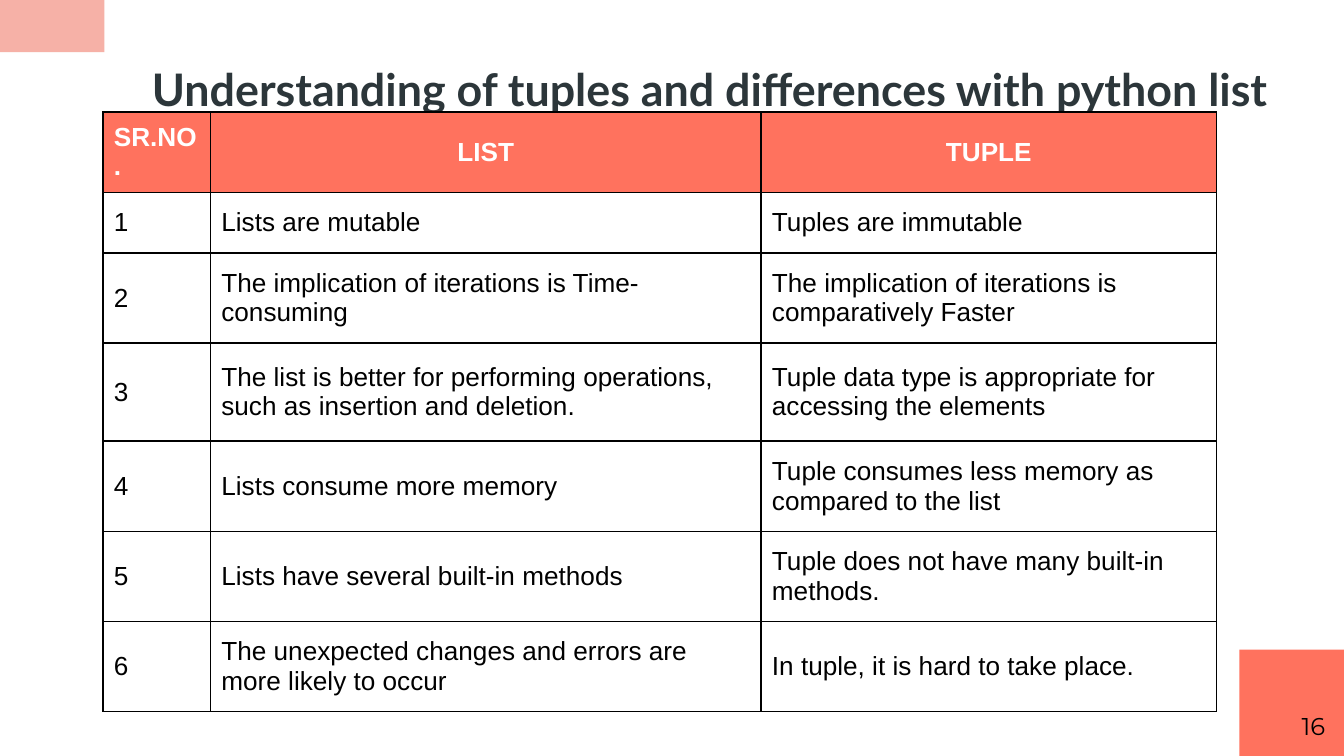
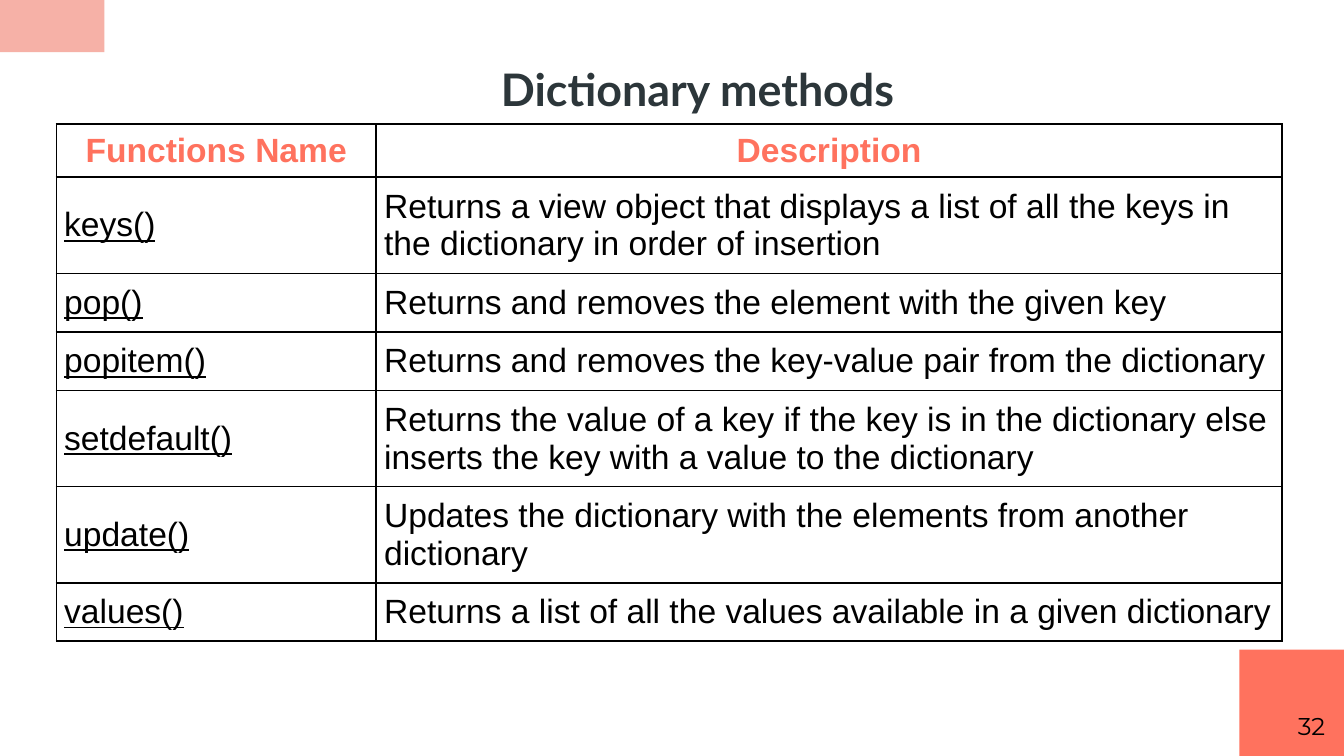
from lxml import etree
from pptx import Presentation
from pptx.dml.color import RGBColor
from pptx.enum.shapes import MSO_SHAPE
from pptx.enum.text import MSO_ANCHOR, MSO_AUTO_SIZE, PP_ALIGN
from pptx.oxml.ns import qn
from pptx.util import Pt

RECTANGLE = MSO_SHAPE.RECTANGLE
MIDDLE, TOP = MSO_ANCHOR.MIDDLE, MSO_ANCHOR.TOP
LEFT, CENTER, RIGHT = PP_ALIGN.LEFT, PP_ALIGN.CENTER, PP_ALIGN.RIGHT
NO_AUTOFIT = MSO_AUTO_SIZE.NONE

CORAL = RGBColor(0xFF, 0x72, 0x5E)
PALE_CORAL = RGBColor(0xF6, 0xB1, 0xA7)
SLATE = RGBColor(0x2C, 0x36, 0x3A)
BLACK = RGBColor(0, 0, 0)
WHITE = RGBColor(0xFF, 0xFF, 0xFF)

TITLE_ONLY = 5
SLIDE_WIDTH, SLIDE_HEIGHT = 720, 405

TUPLE_ROWS = [
    ("SR.NO.", "LIST", "TUPLE"),
    ("1", "Lists are mutable", "Tuples are immutable"),
    ("2", "The implication of iterations is Time-consuming",
     "The implication of iterations is comparatively Faster"),
    ("3", "The list is better for performing operations, such as insertion and deletion.",
     "Tuple data type is appropriate for accessing the elements"),
    ("4", "Lists consume more memory", "Tuple consumes less memory as compared to the list"),
    ("5", "Lists have several built-in methods", "Tuple does not have many built-in methods."),
    ("6", "The unexpected changes and errors are more likely to occur",
     "In tuple, it is hard to take place."),
]

METHOD_ROWS = [
    ("Functions Name", "Description"),
    ("keys()", "Returns a view object that displays a list of all the keys in "
     "the dictionary in order of insertion"),
    ("pop()", "Returns and removes the element with the given key"),
    ("popitem()", "Returns and removes the key-value pair from the dictionary"),
    ("setdefault()", "Returns the value of a key if the key is in the dictionary else "
     "inserts the key with a value to the dictionary"),
    ("update()", "Updates the dictionary with the elements from another dictionary"),
    ("values()", "Returns a list of all the values available in a given dictionary"),
]


def format_text(text_frame, font_name, size, color, alignment, bold=False, underline=False):
    for paragraph in text_frame.paragraphs:
        paragraph.alignment = alignment
        for run in paragraph.runs:
            font = run.font
            font.name, font.size, font.bold = font_name, Pt(size), bold
            font.underline = underline
            font.color.rgb = color


def set_frame(text_frame, anchor):
    text_frame.word_wrap = True
    text_frame.auto_size = NO_AUTOFIT
    text_frame.vertical_anchor = anchor
    text_frame.margin_left = text_frame.margin_right = Pt(7.2)
    text_frame.margin_top = text_frame.margin_bottom = Pt(7.2)


def add_block(slide, left, top, width, height, color):
    block = slide.shapes.add_shape(RECTANGLE, Pt(left), Pt(top), Pt(width), Pt(height))
    block.shadow.inherit = False
    block.fill.solid()
    block.fill.fore_color.rgb = color
    block.line.fill.background()


def add_page(presentation, title_text, title_left, title_width, number):
    """Add a slide with corner blocks, title and page number."""
    slide = presentation.slides.add_slide(presentation.slide_layouts[TITLE_ONLY])
    add_block(slide, 0, 0, 56, 28, PALE_CORAL)
    add_block(slide, SLIDE_WIDTH - 56, SLIDE_HEIGHT - 57, 56, 57, CORAL)

    title = slide.shapes.title
    title.left, title.top = Pt(title_left), Pt(16)
    title.width, title.height = Pt(title_width), Pt(62.6)
    title.text_frame.text = title_text
    set_frame(title.text_frame, MIDDLE)
    format_text(title.text_frame, "Lato", 24, SLATE, CENTER, bold=True)

    page_number = slide.shapes.add_textbox(Pt(674), Pt(374), Pt(43), Pt(31))
    page_number.text_frame.text = str(number)
    set_frame(page_number.text_frame, TOP)
    format_text(page_number.text_frame, "Montserrat", 13, BLACK, RIGHT)
    return slide


def add_borders(cell):
    properties = cell._tc.get_or_add_tcPr()
    for side in ("a:lnL", "a:lnR", "a:lnT", "a:lnB"):
        line = etree.SubElement(properties, qn(side), w=str(Pt(1)))
        fill = etree.SubElement(line, qn("a:solidFill"))
        etree.SubElement(fill, qn("a:srgbClr"), val=str(BLACK))


def format_cell(cell, text, side_margin, end_margin, fill_color=None, **text_style):
    cell.text_frame.text = text
    cell.vertical_anchor = MIDDLE
    cell.margin_left = cell.margin_right = Pt(side_margin)
    cell.margin_top = cell.margin_bottom = Pt(end_margin)
    add_borders(cell)
    if fill_color is None:
        cell.fill.background()
    else:
        cell.fill.solid()
        cell.fill.fore_color.rgb = fill_color
    format_text(cell.text_frame, "Arial", **text_style)


def add_grid(slide, rows, left, top, height, column_widths, row_heights, size, margin,
             body_margin, header_color, header_fill=None, header_alignments=None,
             underline_first=False):
    frame = slide.shapes.add_table(len(rows), len(column_widths), Pt(left), Pt(top),
                                   Pt(sum(column_widths)), Pt(height))
    table = frame.table
    table.first_row = table.horz_banding = False
    for column, width in zip(table.columns, column_widths):
        column.width = Pt(width)
    for row, row_height in zip(table.rows, row_heights):
        row.height = Pt(row_height)
    frame.height = Pt(height)

    # Header row
    alignments = header_alignments or [CENTER] * len(column_widths)
    for column_index, text in enumerate(rows[0]):
        format_cell(table.cell(0, column_index), text, margin, margin, header_fill, size=size,
                    color=header_color, alignment=alignments[column_index], bold=True)

    # Body rows
    for row_index, row in enumerate(rows[1:], start=1):
        for column_index, text in enumerate(row):
            format_cell(table.cell(row_index, column_index), text, margin, body_margin,
                        size=size, color=BLACK, alignment=LEFT,
                        underline=underline_first and column_index == 0)


def main():
    presentation = Presentation()
    presentation.slide_width, presentation.slide_height = Pt(SLIDE_WIDTH), Pt(SLIDE_HEIGHT)

    # Lists compared with tuples
    slide = add_page(presentation, "Understanding of tuples and differences with python list",
                     43.9, 672.5, 16)
    add_grid(slide, TUPLE_ROWS, 55.2, 60, 332.6, [57.6, 295, 244],
             [25.2, 28.8, 40.3, 52.5, 40.3, 40.3, 40.3], size=14, margin=5.8,
             body_margin=8.4, header_color=WHITE, header_fill=CORAL,
             header_alignments=[LEFT, CENTER, CENTER])

    # Dictionary methods
    slide = add_page(presentation, "Dictionary methods", 49, 649.4, 32)
    add_grid(slide, METHOD_ROWS, 30.2, 66.4, 291.6, [171.4, 485.2],
             [27.4, 27.4, 19.4, 27.4, 27.4, 27.4, 27.4], size=18, margin=4.2,
             body_margin=5.6, header_color=CORAL, underline_first=True)

    presentation.save("out.pptx")


if __name__ == "__main__":
    main()
